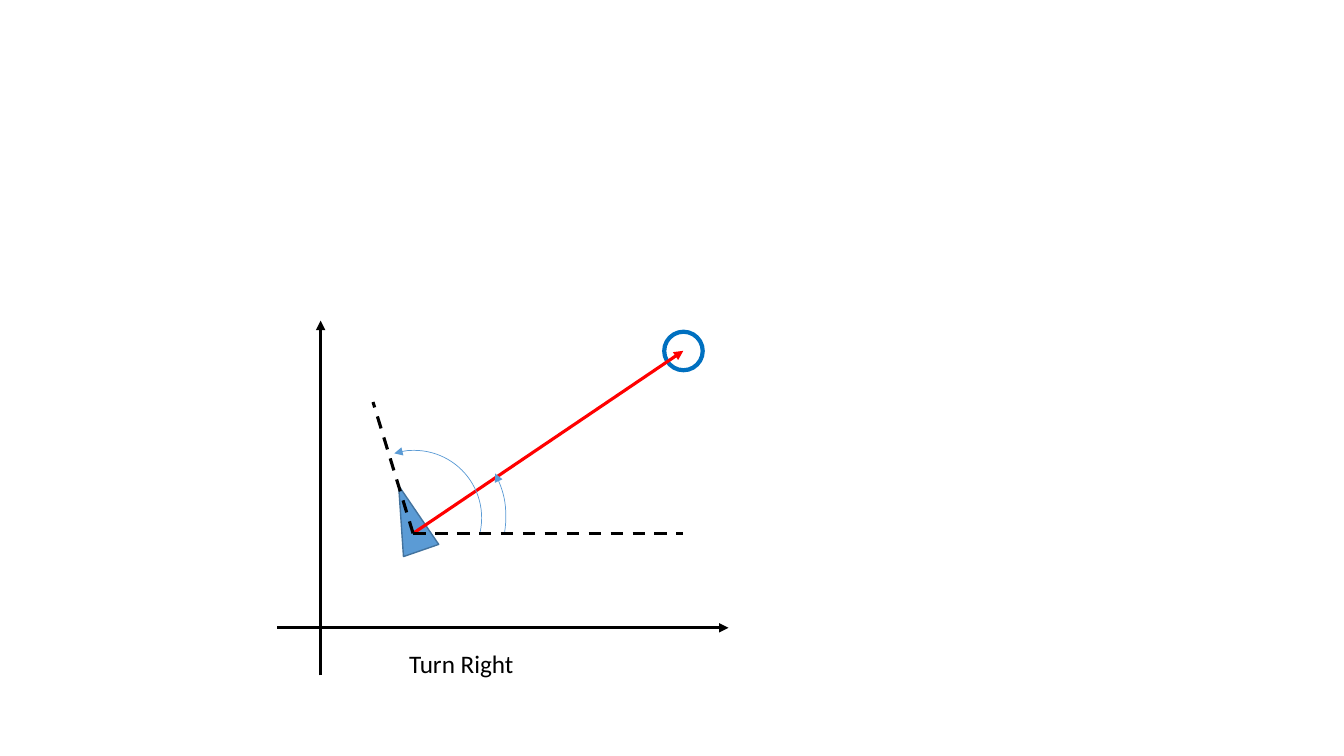
import dataclasses

import pptx
import pptx.dml.color
import pptx.enum.dml
import pptx.enum.shapes
import pptx.enum.text
import pptx.oxml.ns
import pptx.util
from lxml import etree

Cm = pptx.util.Cm
Pt = pptx.util.Pt
SHAPES = pptx.enum.shapes.MSO_SHAPE


@dataclasses.dataclass(frozen=True)
class Theme:
    ink: str = "000000"
    target: str = "0070C0"
    robot: str = "5B9BD5"
    robot_edge: str = "43739E"
    bearing: str = "FF0000"
    font: str = "Calibri"
    caption_size: int = 18
    line_width: float = 2.25
    target_width: float = 3
    robot_width: float = 1
    arc_width: float = 0.5


THEME = Theme()


def rgb(color):
    return pptx.dml.color.RGBColor.from_string(color)


def style_line(line, color, width):
    line.color.rgb = rgb(color)
    line.width = Pt(width)


def add_arrowhead(element, end):
    """Put a triangle on the headEnd (start) or tailEnd (finish) of a line."""
    outline = element.spPr.find(pptx.oxml.ns.qn("a:ln"))
    etree.SubElement(outline, pptx.oxml.ns.qn(f"a:{end}"), type="triangle")


def add_line(slide, start, finish, color=THEME.ink, arrow=False):
    """Draw a solid arrow, or a dashed line when arrow is False."""
    line = slide.shapes.add_connector(
        pptx.enum.shapes.MSO_CONNECTOR.STRAIGHT,
        *(Cm(value) for value in (*start, *finish)))
    style_line(line.line, color, THEME.line_width)
    if arrow:
        add_arrowhead(line._element, "tailEnd")
    else:
        line.line.dash_style = pptx.enum.dml.MSO_LINE.DASH
    etree.SubElement(line._element.spPr, pptx.oxml.ns.qn("a:effectLst"))


def add_outline(slide, kind, box, color, width, fill=None):
    shape = slide.shapes.add_shape(kind, *(Cm(value) for value in box))
    if fill:
        shape.fill.solid()
        shape.fill.fore_color.rgb = rgb(fill)
    else:
        shape.fill.background()
    style_line(shape.line, color, width)
    shape.shadow.inherit = False
    return shape


def add_angle_arc(slide, left, top, diameter, start, finish):
    """Draw an arc between clockwise angles in degrees, arrowhead at start."""
    arc = add_outline(slide, SHAPES.ARC, (left, top, diameter, diameter),
                      THEME.robot, THEME.arc_width)
    for index, degrees in enumerate((start, finish)):
        arc.adjustments[index] = degrees * 0.6
    add_arrowhead(arc._element, "headEnd")


def add_caption(slide, text, box):
    frame = slide.shapes.add_textbox(*(Cm(value) for value in box)).text_frame
    frame.word_wrap = False
    frame.auto_size = pptx.enum.text.MSO_AUTO_SIZE.SHAPE_TO_FIT_TEXT
    run = frame.paragraphs[0].add_run()
    run.text = text
    run.font.color.rgb = rgb(THEME.ink)
    formats = {"name": THEME.font, "size": Pt(THEME.caption_size)}
    for attribute, value in formats.items():
        setattr(run.font, attribute, value)


def main():
    deck = pptx.Presentation()
    deck.slide_width, deck.slide_height = Cm(33.87), Cm(19.05)
    slide = deck.slides.add_slide(deck.slide_layouts[6])

    robot_center = (10.41, 13.44)
    target_center = (17.22, 8.84)

    add_line(slide, (6.99, 15.82), (18.36, 15.82), arrow=True)
    add_line(slide, (8.08, 17.02), (8.08, 8.08), arrow=True)
    add_outline(slide, SHAPES.OVAL, (16.74, 8.36, 0.97, 0.97),
                THEME.target, THEME.target_width)
    robot = add_outline(slide, SHAPES.ISOSCELES_TRIANGLE,
                        (9.86, 12.19, 0.94, 1.73), THEME.robot_edge,
                        THEME.robot_width, THEME.robot)
    robot.rotation = 340.9

    add_line(slide, robot_center, target_center, THEME.bearing, arrow=True)
    add_angle_arc(slide, 8.08, 10.69, 4.67, 332.1, 9.61)
    add_angle_arc(slide, 8.74, 11.35, 3.4, 252.86, 11.88)
    add_line(slide, robot_center, (target_center[0], robot_center[1]))
    add_line(slide, robot_center, (9.4, 10.13))
    add_caption(slide, "Turn Right", (10.06, 16.21, 3.18, 1.02))

    deck.save("out.pptx")


if __name__ == "__main__":
    main()
